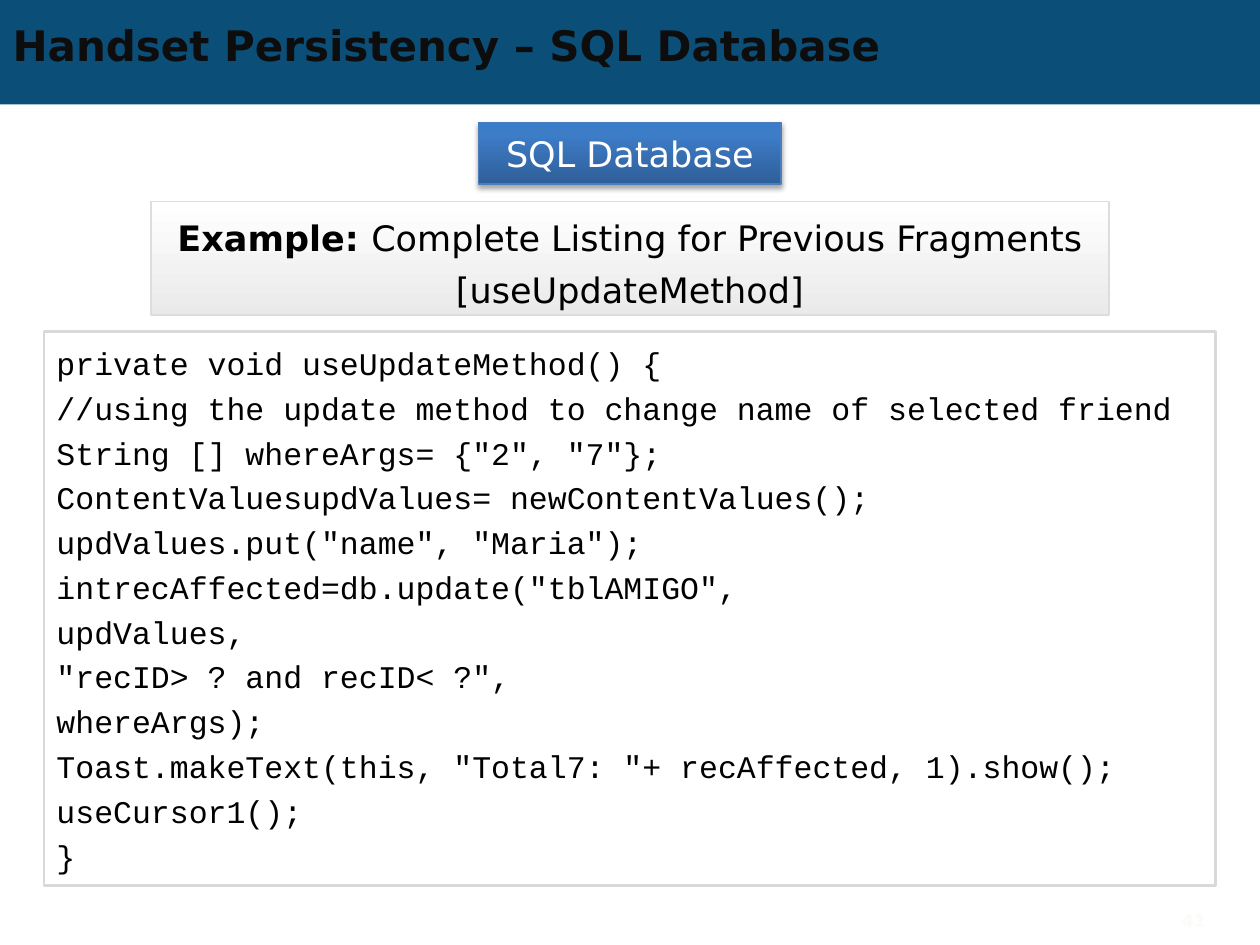
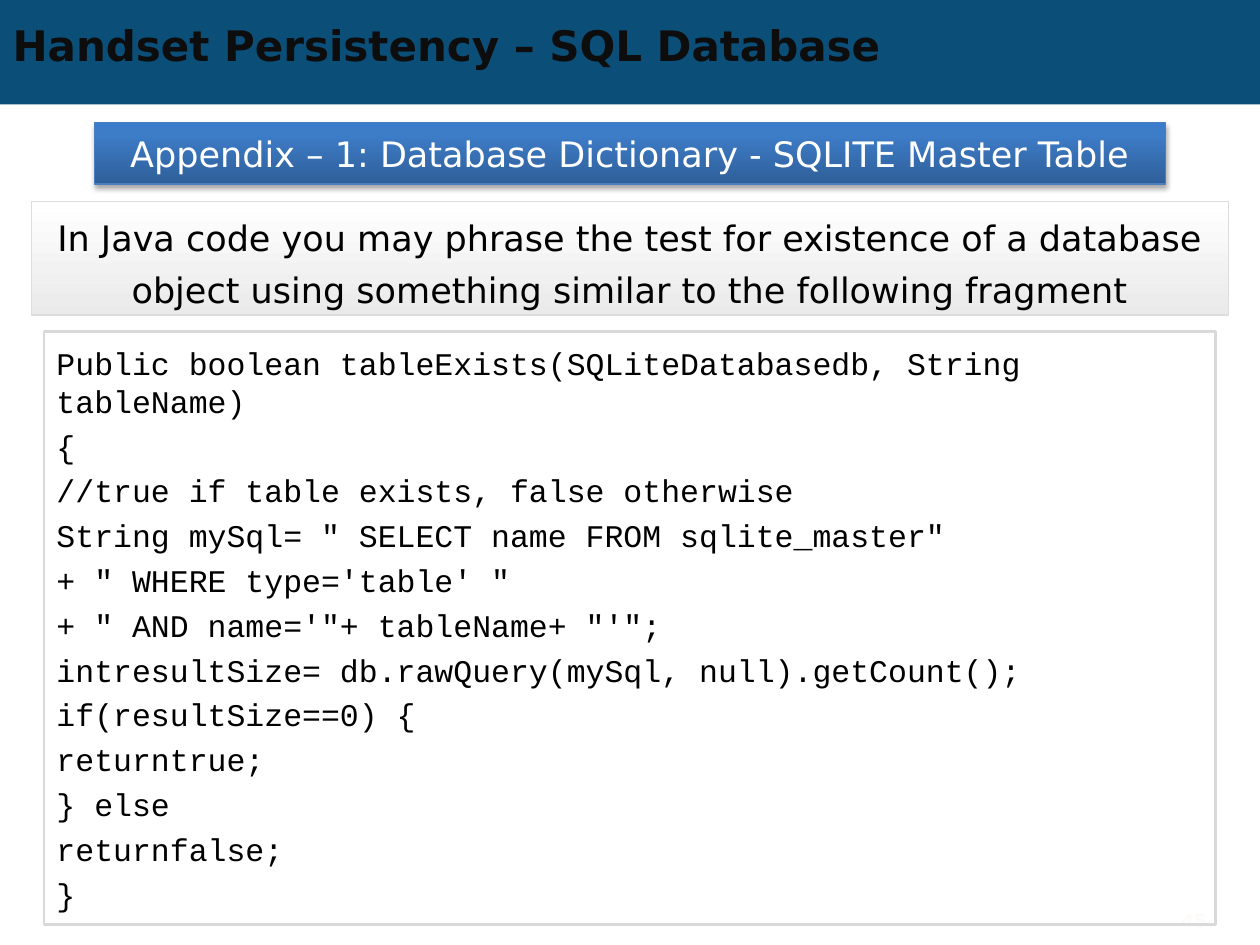
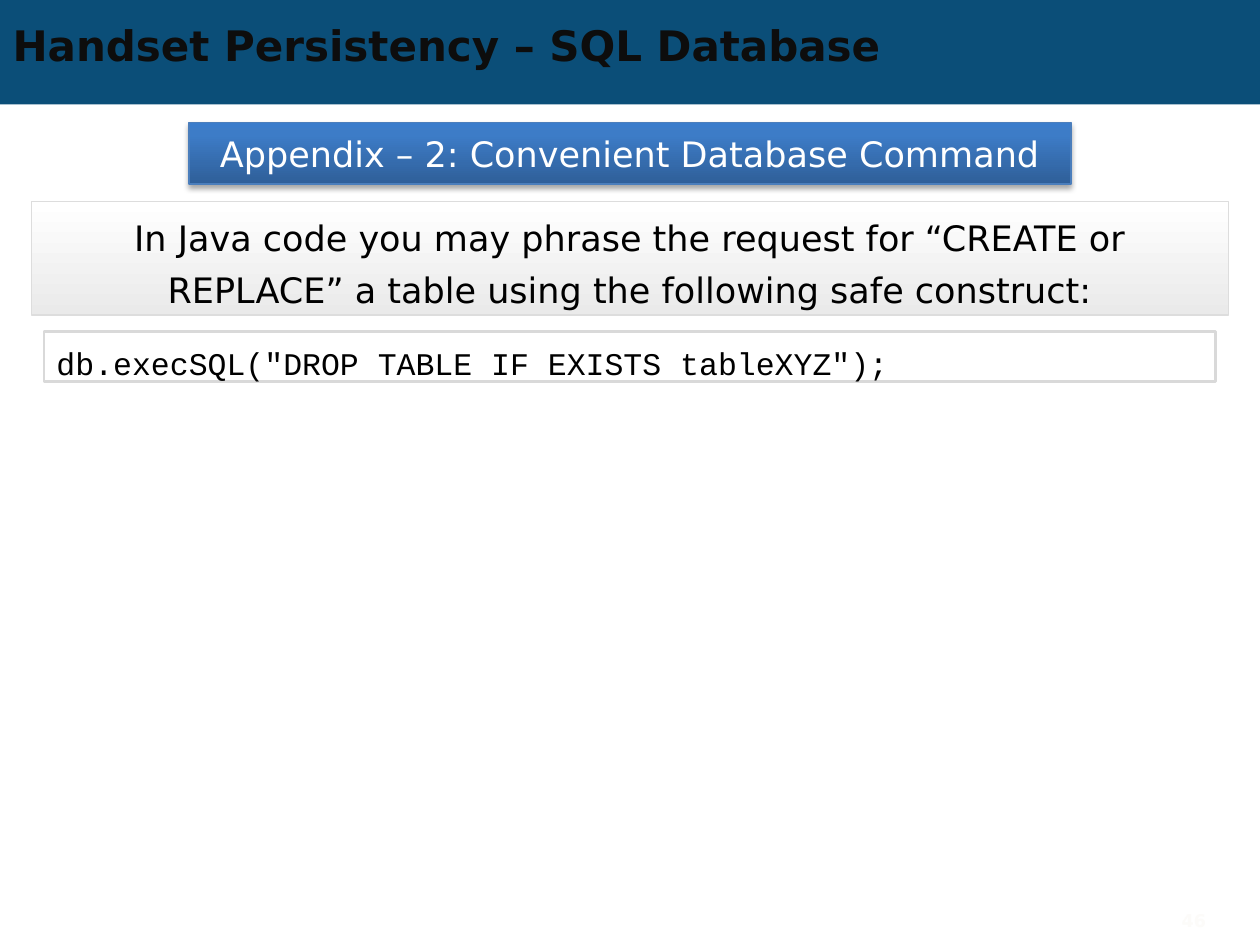
"""Build three slides on SQL database persistency, each with a banner, a caption and a code listing."""
import copy
import dataclasses
import typing

import lxml.etree
import pptx
import pptx.dml.color
import pptx.enum.shapes
import pptx.enum.text
import pptx.oxml.ns
import pptx.util

Inches = pptx.util.Inches
Pt = pptx.util.Pt
Align = pptx.enum.text.PP_ALIGN
Anchor = pptx.enum.text.MSO_ANCHOR
qn = pptx.oxml.ns.qn

COLORS = {
    "band": "0B4E78",
    "title": "0D0D0D",
    "number": "FCFBF9",
    "white": "FFFFFF",
    "black": "000000",
    "banner_dark": "2F5F99",
    "banner_mid": "3D7CC7",
    "banner_light": "3A7CCB",
    "banner_line": "4B7EBC",
    "caption_end": "EAEAEA",
    "caption_line": "DDDDDD",
    "code_line": "D9D9D9",
}
SANS = "DejaVu Sans"
MONO = "Courier New"
TITLE = "Handset Persistency – SQL Database"
PAGE_WIDTH = 10
BANNER_STOPS = [(0, "banner_dark"), (0.8, "banner_mid"), (1, "banner_light")]
CAPTION_STOPS = [(0, "white"), (1, "caption_end")]


@dataclasses.dataclass
class Listing:
    number: int
    banner: str
    banner_width: float
    caption: str
    caption_width: float
    code: str
    code_height: float
    caption_lead: str = ""


LISTINGS = [
    Listing(
        41, "SQL Database", 2.4,
        "Complete Listing for Previous Fragments\n[useUpdateMethod]", 7.6,
        """private void useUpdateMethod() {
//using the update method to change name of selected friend
String [] whereArgs= {"2", "7"};
ContentValuesupdValues= newContentValues();
updValues.put("name", "Maria");
intrecAffected=db.update("tblAMIGO",
updValues,
"recID> ? and recID< ?",
whereArgs);
Toast.makeText(this, "Total7: "+ recAffected, 1).show();
useCursor1();
}""", 4.4, caption_lead="Example: ",
    ),
    Listing(
        45, "Appendix – 1: Database Dictionary - SQLITE Master Table", 8.5,
        "In Java code you may phrase the test for existence of a database object "
        "using something similar to the following fragment", 9.5,
        """Public boolean tableExists(SQLiteDatabasedb, String tableName)
{
//true if table exists, false otherwise
String mySql= " SELECT name FROM sqlite_master"
+ " WHERE type='table' "
+ " AND name='"+ tableName+ "'";
intresultSize= db.rawQuery(mySql, null).getCount();
if(resultSize==0) {
returntrue;
} else
returnfalse;
}""", 4.71,
    ),
    Listing(
        46, "Appendix – 2: Convenient Database Command", 7,
        "In Java code you may phrase the request for “CREATE or REPLACE” a table "
        "using the following safe construct:", 9.5,
        'db.execSQL("DROP TABLE IF EXISTS tableXYZ");', 0.4,
    ),
]


def rgb(name: str) -> pptx.dml.color.RGBColor:
    return pptx.dml.color.RGBColor.from_string(COLORS[name])


def write_text(box: typing.Any, text: str, *, size: float, color: str = "black",
               font: str = SANS, bold: bool = False, lead: str = "",
               align: Align = Align.LEFT, anchor: Anchor = Anchor.MIDDLE,
               line_spacing: typing.Optional[float] = None, gap: float = 0,
               top_inset: float = 0.05) -> None:
    frame = box.text_frame
    frame.word_wrap = True
    frame.auto_size = pptx.enum.text.MSO_AUTO_SIZE.NONE
    frame.vertical_anchor = anchor
    frame.margin_top = Inches(top_inset)
    for index, line in enumerate(text.split("\n")):
        para = frame.add_paragraph() if index else frame.paragraphs[0]
        para.alignment = align
        para.space_before = Pt(gap if index else 0)
        if line_spacing:
            para.line_spacing = Pt(line_spacing)
        pieces = [(line, bold)]
        if lead and index == 0:
            pieces.insert(0, (lead, True))
        for piece, is_bold in pieces:
            span = para.add_run()
            span.text = piece
            span.font.name = font
            span.font.size = Pt(size)
            span.font.bold = is_bold
            span.font.color.rgb = rgb(color)


def add_panel(page: typing.Any, top: float, width: float, height: float,
              line: str = "", line_width: float = 1) -> typing.Any:
    panel = page.shapes.add_shape(
        pptx.enum.shapes.MSO_SHAPE.RECTANGLE, Inches((PAGE_WIDTH - width) / 2),
        Inches(top), Inches(width), Inches(height))
    panel.shadow.inherit = False
    panel.fill.background()
    if line:
        panel.line.color.rgb = rgb(line)
        panel.line.width = Pt(line_width)
    else:
        panel.line.fill.background()
    return panel


def fill_gradient(panel: typing.Any, stops: list[tuple[float, str]], angle: float) -> None:
    panel.fill.gradient()
    panel.fill.gradient_angle = angle
    stop_list = panel.element.spPr.find(f"{qn('a:gradFill')}/{qn('a:gsLst')}")
    while len(stop_list) < len(stops):
        stop_list.append(copy.deepcopy(stop_list[0]))
    for stop, (position, color) in zip(panel.fill.gradient_stops, stops):
        stop.position = position
        stop.color.rgb = rgb(color)


def cast_shadow(panel: typing.Any, blur: float, distance: float, opacity: int) -> None:
    effects = panel.element.spPr.find(qn("a:effectLst"))
    shadow = lxml.etree.SubElement(
        effects, qn("a:outerShdw"), blurRad=str(Pt(blur)), dist=str(Pt(distance)),
        dir=str(90 * 60000), rotWithShape="0")
    color = lxml.etree.SubElement(shadow, qn("a:srgbClr"), val=COLORS["black"])
    lxml.etree.SubElement(color, qn("a:alpha"), val=str(opacity * 1000))


def add_band(layout: typing.Any, page: typing.Any) -> None:
    band = add_panel(page, 0, PAGE_WIDTH, 0.83)
    band.fill.solid()
    band.fill.fore_color.rgb = rgb("band")
    layout.shapes.element.insert(2, band.element)


def draw_listing(page: typing.Any, listing: Listing) -> None:
    number = page.shapes.add_textbox(Inches(9.17), Inches(7.17), Inches(0.5), Inches(0.27))
    write_text(number, str(listing.number), size=10, color="number", bold=True,
               align=Align.RIGHT, anchor=Anchor.TOP)

    title = page.shapes.title
    title.left, title.top = Inches(0), Inches(0.14)
    title.width, title.height = Inches(9), Inches(0.43)
    write_text(title, TITLE, size=24, color="title", bold=True)

    banner = add_panel(page, 0.97, listing.banner_width, 0.49, "banner_line", 0.75)
    fill_gradient(banner, BANNER_STOPS, 90)
    cast_shadow(banner, 3.1, 1.8, 35)
    write_text(banner, listing.banner, size=20, color="white", align=Align.CENTER)

    caption = add_panel(page, 1.6, listing.caption_width, 0.9, "caption_line")
    fill_gradient(caption, CAPTION_STOPS, 270)
    write_text(caption, listing.caption, size=20, lead=listing.caption_lead,
               align=Align.CENTER, line_spacing=30)

    code = add_panel(page, 2.63, 9.3, listing.code_height, "code_line", 1.5)
    write_text(code, listing.code, size=18, font=MONO, anchor=Anchor.TOP,
               gap=4, top_inset=0.1)


def main() -> None:
    deck = pptx.Presentation()
    deck.slide_width, deck.slide_height = Inches(PAGE_WIDTH), Inches(7.5)
    layout = deck.slide_layouts.get_by_name("Title Only")
    pages = [deck.slides.add_slide(layout) for _ in LISTINGS]
    add_band(layout, pages[0])
    for page, listing in zip(pages, LISTINGS):
        draw_listing(page, listing)
    deck.save("out.pptx")


if __name__ == "__main__":
    main()
